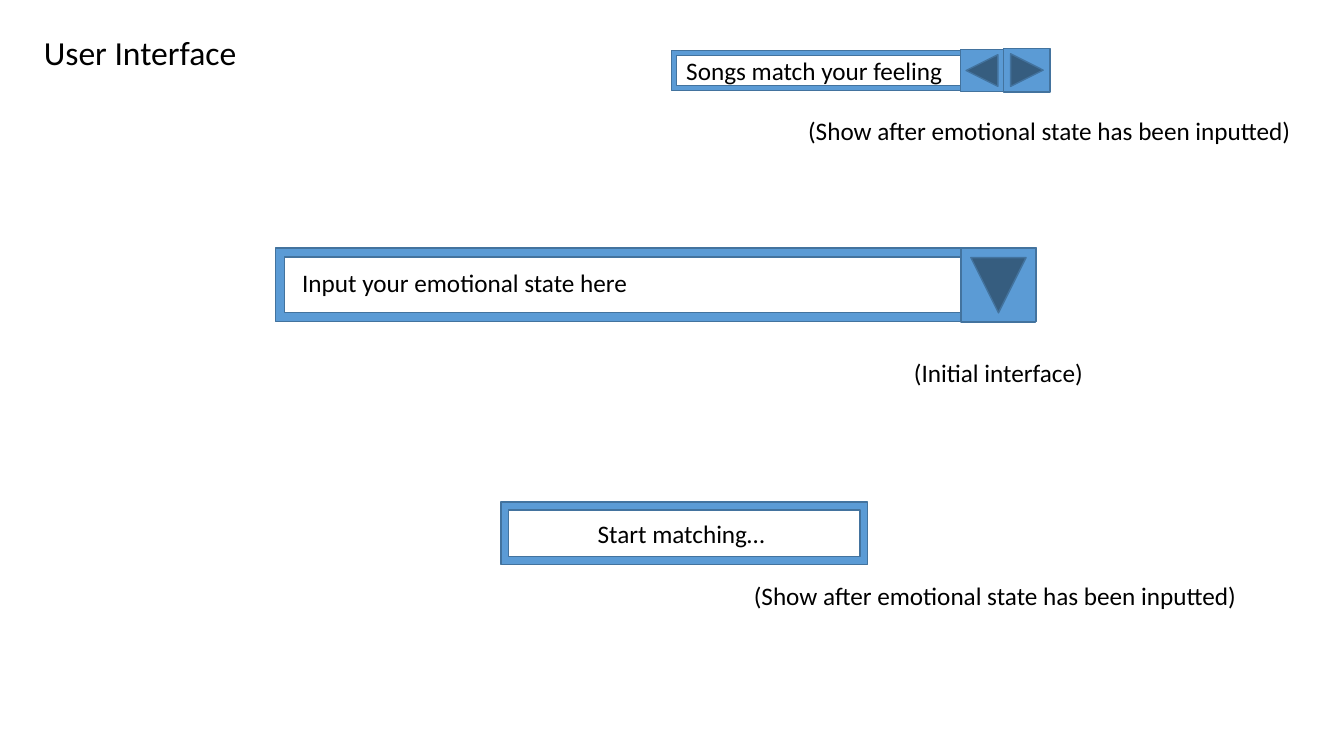
from pptx import Presentation
from pptx.dml.color import RGBColor
from pptx.enum.shapes import MSO_SHAPE
from pptx.enum.text import MSO_AUTO_SIZE, PP_ALIGN
from pptx.util import Pt

FONT = "Calibri"
BLACK, BLUE, OUTLINE = "000000", "5B9BD5", "43739E"
NEXT = MSO_SHAPE.ACTION_BUTTON_FORWARD_OR_NEXT
BACK = MSO_SHAPE.ACTION_BUTTON_BACK_OR_PREVIOUS
SHOWN_LATER = "(Show after emotional state has been inputted)"

TITLE = ("User Interface", (17.3, 22.3, 165.6, 42.5))
CONTROLS = [
    (MSO_SHAPE.FRAME, (196.6, 177.1, 543.6, 52.6), 0),
    (NEXT, (686.9, 177.1, 52.6, 53.3), 90),
    (MSO_SHAPE.FRAME, (479.5, 36, 260.6, 28.8), 0),
    (BACK, (686.2, 35.3, 30.5, 30.2), 0),
    (NEXT, (717, 34.6, 33.1, 31), 0),
    (MSO_SHAPE.FRAME, (357.8, 358.6, 262.1, 44.6), 0),
]
LABELS = [
    ("Start matching…", (419.8, 366.5, 190.1), True),
    ("Input your emotional state here", (208.8, 187.2, 249.8), False),
    ("Songs match your feeling", (483.1, 36, 199.4), False),
    (SHOWN_LATER, (570.2, 78.5, 424.8), True),
    (SHOWN_LATER, (531.4, 411.1, 364.3), False),
    ("(Initial interface)", (645.8, 252, 136.8), False),
]
LABEL_HEIGHT = 28.8


def color(value):
    return RGBColor.from_string(value)


def add_control(page, kind, place, rotation):
    control = page.shapes.add_shape(kind, *map(Pt, place))
    control.rotation = rotation
    control.shadow.inherit = False
    control.fill.solid()
    control.fill.fore_color.rgb = color(BLUE)
    control.line.color.rgb = color(OUTLINE)
    control.line.width = Pt(1)


def add_text(page, text, place, size, wrap):
    box = page.shapes.add_textbox(*map(Pt, place))
    box.text_frame.word_wrap = wrap
    para = box.text_frame.paragraphs[0]
    span = para.add_run()
    span.text = text
    span.font.name = FONT
    span.font.size = Pt(size)
    span.font.color.rgb = color(BLACK)
    return box


def main():
    deck = Presentation()
    deck.slide_width, deck.slide_height = Pt(960), Pt(540)
    page = deck.slides.add_slide(deck.slide_layouts[6])

    title = add_text(page, *TITLE, 24, True)
    para = title.text_frame.paragraphs[0]
    para.alignment = PP_ALIGN.CENTER
    para.line_spacing = 0.9
    para.space_before = Pt(10)

    for kind, place, rotation in CONTROLS:
        add_control(page, kind, place, rotation)
    for text, place, wrap in LABELS:
        label = add_text(page, text, (*place, LABEL_HEIGHT), 18, wrap)
        label.text_frame.auto_size = MSO_AUTO_SIZE.SHAPE_TO_FIT_TEXT

    deck.save("out.pptx")


if __name__ == "__main__":
    main()
